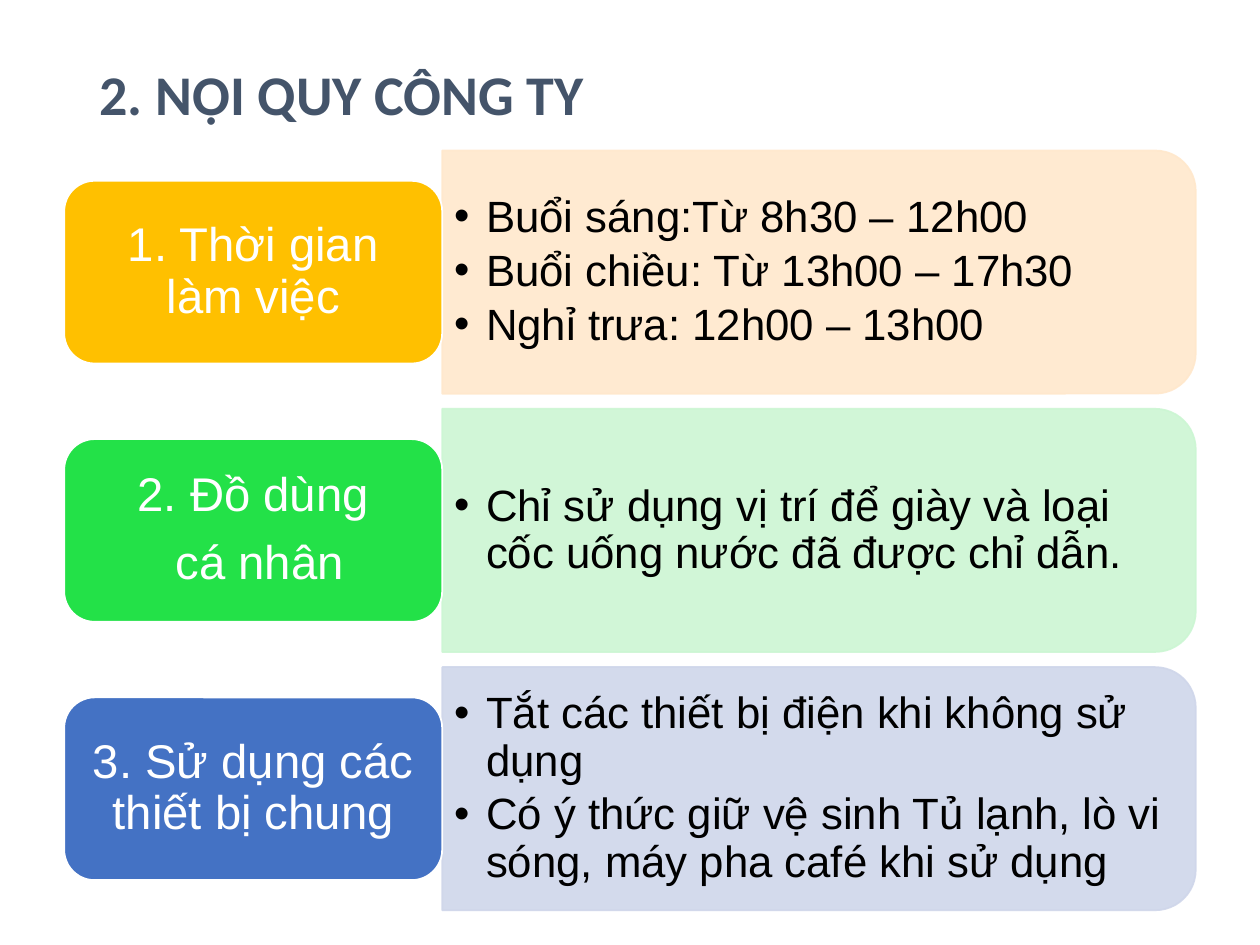
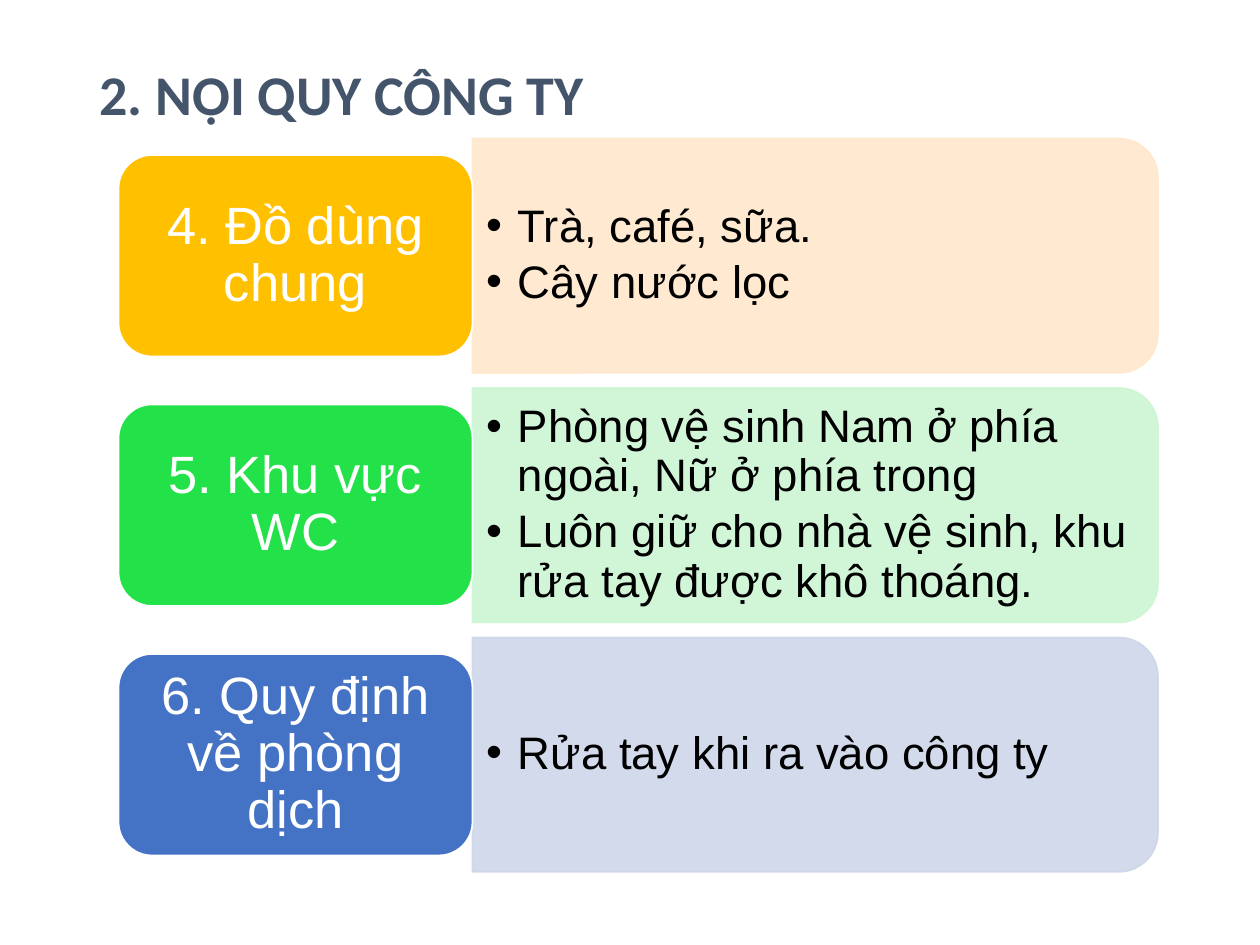
from dataclasses import dataclass

from lxml.etree import SubElement
from pptx import Presentation
from pptx.dml.color import RGBColor
from pptx.enum.shapes import MSO_SHAPE
from pptx.enum.text import MSO_ANCHOR, PP_ALIGN
from pptx.oxml.ns import qn
from pptx.util import Inches, Pt

TITLE = "2. NỘI QUY CÔNG TY"
TITLE_COLOUR = "44546A"
WHITE = "FFFFFF"
BLACK = "000000"
ROW_COLOURS = [("FFC000", "FFE8CC"), ("23E148", "CCF6D3"), ("4472C4", "CFD6EA")]
HANGING = Inches(0.25)


@dataclass
class Grid:
    """Measures of the rule rows on one slide, in inches and points."""
    left: float
    label_width: float
    label_height: float
    panel_width: float
    panel_height: float
    first_middle: float
    pitch: float
    label_size: int
    rule_size: int
    inset: float


WORK_GRID = Grid(0.51, 3, 1.45, 5.98, 1.93, 2.16, 2.05, 27, 25, 0.1)
SHARED_GRID = Grid(0.94, 2.81, 1.6, 5.44, 1.86, 2.03, 1.98, 30, 26, 0.11)

WORK_RULES = [
    (["1. Thời gian làm việc"],
     ["Buổi sáng:Từ 8h30 – 12h00",
      "Buổi chiều: Từ 13h00 – 17h30",
      "Nghỉ trưa: 12h00 – 13h00"]),
    (["2. Đồ dùng", " cá nhân"],
     ["Chỉ sử dụng vị trí để giày và loại cốc uống nước đã được chỉ dẫn."]),
    (["3. Sử dụng các thiết bị chung"],
     ["Tắt các thiết bị điện khi không sử dụng",
      "Có ý thức giữ vệ sinh Tủ lạnh, lò vi sóng, máy pha café khi sử dụng"]),
]
SHARED_RULES = [
    (["4. Đồ dùng chung"], ["Trà, café, sữa.", "Cây nước lọc"]),
    (["5. Khu vực WC"],
     ["Phòng vệ sinh Nam ở phía ngoài, Nữ ở phía trong",
      "Luôn giữ cho nhà vệ sinh, khu rửa tay được khô thoáng."]),
    (["6. Quy định về phòng dịch"], ["Rửa tay khi ra vào công ty"]),
]


def colour(value):
    """Turn a hex string into a colour."""
    return RGBColor.from_string(value)


def add_span(para, text, font, size, value, bold=False):
    """Add one formatted run to a paragraph."""
    span = para.add_run()
    span.text = text
    span.font.name = font
    span.font.size = Pt(size)
    span.font.bold = bold
    span.font.color.rgb = colour(value)


def set_frame(frame, side, end, anchor=MSO_ANCHOR.MIDDLE):
    """Set wrapping, anchor and insets of a text frame."""
    frame.word_wrap = True
    frame.vertical_anchor = anchor
    frame.margin_left = frame.margin_right = Inches(side)
    frame.margin_top = frame.margin_bottom = Inches(end)


def fill_lines(frame, lines, size, value, gap, align):
    """Write one paragraph per line, with a gap relative to the text size."""
    for index, line in enumerate(lines):
        para = frame.add_paragraph() if index else frame.paragraphs[0]
        para.alignment = align
        para.line_spacing = 0.9
        para.space_after = Pt(size * gap)
        add_span(para, line, "Arial", size, value)


def add_bullet(para):
    """Give a paragraph a hanging bullet on the second level."""
    para.level = 1
    properties = para._p.get_or_add_pPr()
    properties.set("marL", str(HANGING))
    properties.set("indent", str(-HANGING))
    SubElement(properties, qn("a:buFont")).set("typeface", "Arial")
    SubElement(properties, qn("a:buChar")).set("char", "•")


def add_block(page, preset, left, top, width, height, fill, line):
    """Add a filled and outlined preset shape without shadow."""
    block = page.shapes.add_shape(
        preset, Inches(left), Inches(top), Inches(width), Inches(height))
    block.shadow.inherit = False
    block.fill.solid()
    block.fill.fore_color.rgb = colour(fill)
    block.line.color.rgb = colour(line)
    block.line.width = Pt(1)
    return block


def add_panel(page, grid, middle, value):
    """Add the pale panel, turned so that its round corners face right."""
    centre = grid.left + grid.label_width + grid.panel_width / 2
    panel = add_block(
        page, MSO_SHAPE.ROUND_2_SAME_RECTANGLE,
        centre - grid.panel_height / 2, middle - grid.panel_width / 2,
        grid.panel_height, grid.panel_width, value, value)
    panel.rotation = 90
    for paint in panel._element.spPr.iter(qn("a:srgbClr")):
        SubElement(paint, qn("a:alpha")).set("val", "90000")


def add_rules(page, grid, middle, rules):
    """Add the bulleted rules over a panel."""
    width, height = grid.panel_width - 0.09, grid.panel_height - 0.19
    box = page.shapes.add_textbox(
        Inches(grid.left + grid.label_width), Inches(middle - height / 2),
        Inches(width), Inches(height))
    set_frame(box.text_frame, grid.inset, 0.05)
    fill_lines(box.text_frame, rules, grid.rule_size, BLACK, 0.15, PP_ALIGN.LEFT)
    for para in box.text_frame.paragraphs:
        add_bullet(para)


def add_label(page, grid, middle, lines, value):
    """Add the rounded label that names a group of rules."""
    label = add_block(
        page, MSO_SHAPE.ROUNDED_RECTANGLE,
        grid.left, middle - grid.label_height / 2,
        grid.label_width, grid.label_height, value, WHITE)
    set_frame(label.text_frame, grid.inset + 0.01, 0.06)
    fill_lines(label.text_frame, lines, grid.label_size, WHITE, 0.35, PP_ALIGN.CENTER)


def add_title(page):
    """Place and format the title placeholder."""
    title = page.shapes.title
    title.left, title.top = Inches(0.69), Inches(0.42)
    title.width, title.height = Inches(5.07), Inches(0.64)
    set_frame(title.text_frame, 0.1, 0.05, MSO_ANCHOR.TOP)
    para = title.text_frame.paragraphs[0]
    para.alignment = PP_ALIGN.LEFT
    add_span(para, TITLE, "Calibri", 32, TITLE_COLOUR, bold=True)


def add_page(deck, grid, groups):
    """Add a slide with a title and one row per group of rules."""
    page = deck.slides.add_slide(deck.slide_layouts[5])
    add_title(page)
    for index, (lines, rules) in enumerate(groups):
        strong, pale = ROW_COLOURS[index]
        middle = grid.first_middle + index * grid.pitch
        add_panel(page, grid, middle, pale)
        add_rules(page, grid, middle, rules)
        add_label(page, grid, middle, lines, strong)


def main():
    """Build the deck and save it."""
    deck = Presentation()
    deck.slide_width, deck.slide_height = Inches(10), Inches(7.5)
    add_page(deck, WORK_GRID, WORK_RULES)
    add_page(deck, SHARED_GRID, SHARED_RULES)
    deck.save("out.pptx")


main()
